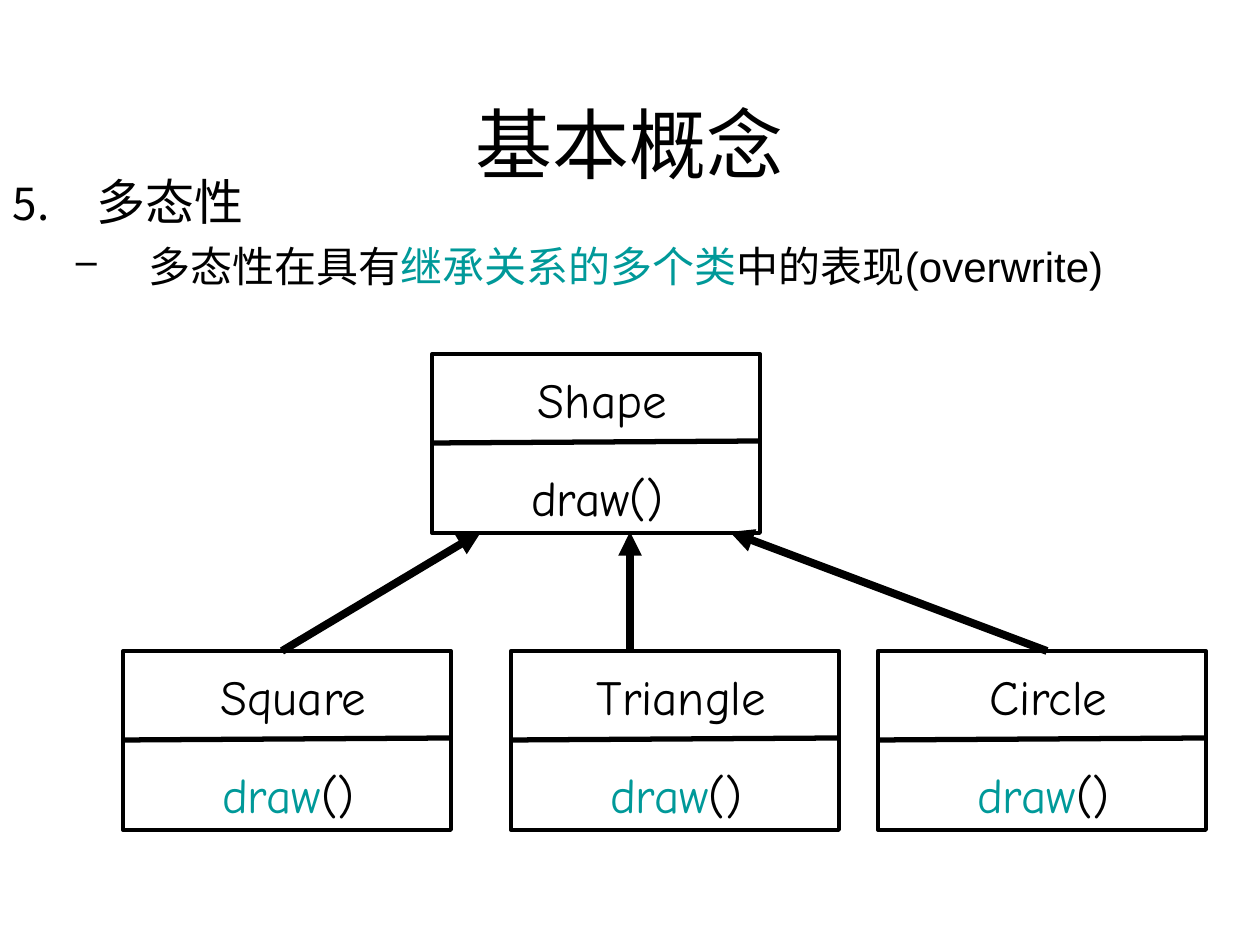
from lxml.etree import SubElement
from pptx import Presentation
from pptx.dml.color import RGBColor
from pptx.enum.shapes import MSO_CONNECTOR, MSO_SHAPE
from pptx.enum.text import MSO_ANCHOR, PP_ALIGN
from pptx.oxml.ns import qn
from pptx.util import Emu, Pt

PX = 914400 / 126
BLACK = RGBColor(0x00, 0x00, 0x00)
TEAL = RGBColor(0x00, 0x99, 0x99)
CLASS_WIDTH, CLASS_HEIGHT = 328, 179
CHILD_TOP = 651


def px(length):
    return Emu(round(length * PX))


def add_text_box(page, left, top, width, height, side_inset=13, anchor=MSO_ANCHOR.TOP):
    box = page.shapes.add_textbox(px(left), px(top), px(width), px(height))
    frame = box.text_frame
    frame.word_wrap = True
    frame.vertical_anchor = anchor
    frame.margin_left = frame.margin_right = px(side_inset)
    frame.margin_top = frame.margin_bottom = px(6)
    return frame


def write(para, text, size=28, font="Arial", align=PP_ALIGN.LEFT, margin=0,
          indent=0, space_before=None, bullet=None, accent=""):
    """Fill a paragraph; the part of the text equal to accent turns teal."""
    properties = para._p.get_or_add_pPr()
    properties.set("marL", str(px(margin)))
    properties.set("indent", str(px(indent)))
    if bullet:
        tag, attributes = bullet
        color = SubElement(properties, qn("a:buClr"))
        SubElement(color, qn("a:srgbClr"), val=str(BLACK))
        SubElement(properties, qn("a:buSzPct"), val="90000")
        SubElement(properties, qn(tag), **attributes)
    para.alignment = align
    if space_before:
        para.space_before = Pt(space_before)
    before, marked, after = text.partition(accent) if accent else (text, "", "")
    for part, color in ((before, BLACK), (marked, TEAL), (after, BLACK)):
        if part:
            span = para.add_run()
            span.text = part
            span.font.size = Pt(size)
            span.font.name = font
            span.font.color.rgb = color


def add_line(page, start, end, weight, arrow=False):
    line = page.shapes.add_connector(
        MSO_CONNECTOR.STRAIGHT, *(px(length) for length in (*start, *end)))
    line.line.color.rgb = BLACK
    line.line.width = Pt(weight)
    if arrow:
        SubElement(line.line._get_or_add_ln(), qn("a:tailEnd"), type="triangle")
    SubElement(line._element.spPr, qn("a:effectLst"))


def add_body(page, left, top, width, height):
    frame = add_text_box(page, left, top, width, height)
    write(frame.paragraphs[0], "多态性", margin=84, indent=-84,
          bullet=("a:buAutoNum", {"type": "arabicPeriod", "startAt": "5"}))
    detail = frame.add_paragraph()
    detail.level = 1
    write(detail, "多态性在具有继承关系的多个类中的表现(overwrite)", size=24,
          margin=136, indent=-73, space_before=6,
          bullet=("a:buChar", {"char": "–"}), accent="继承关系的多个类")


def add_title(page, left, top, width, height):
    frame = add_text_box(page, left, top, width, height, anchor=MSO_ANCHOR.BOTTOM)
    write(frame.paragraphs[0], "基本概念", size=44, align=PP_ALIGN.CENTER)


def add_class(page, left, top, name, accent=""):
    """Class box with its name above the divider and its method below."""
    box = page.shapes.add_shape(MSO_SHAPE.RECTANGLE, px(left), px(top),
                                px(CLASS_WIDTH), px(CLASS_HEIGHT))
    box.shadow.inherit = False
    box.fill.background()
    box.line.color.rgb = BLACK
    box.line.width = Pt(2.25)
    for text, shift, drop, width in ((name, -20, 9, 318), ("draw()", -30, 108, 328)):
        frame = add_text_box(page, left + shift, top + drop, width, 72, side_inset=0)
        write(frame.paragraphs[0], text, font="Comic Neue", align=PP_ALIGN.CENTER,
              margin=136, indent=-73, accent=accent)
    add_line(page, (left, top + 89), (left + 326, top + 87), 3)


def add_hierarchy(page, left, top):
    """Parent class, its three children and the inheritance arrows."""
    add_class(page, left + 309, top, "Shape")
    for offset, name in ((0, "Square"), (388, "Triangle"), (755, "Circle")):
        add_class(page, left + offset, CHILD_TOP, name, accent="draw")
    for start, end in ((159, 358), (507, 507), (924, 607)):
        add_line(page, (left + start, CHILD_TOP),
                 (left + end, top + CLASS_HEIGHT - 1), 4.5, arrow=True)


def main():
    deck = Presentation()
    deck.slide_width, deck.slide_height = px(1260), px(945)
    page = deck.slides.add_slide(deck.slide_layouts[6])
    add_body(page, 0, 165, 1260, 168)
    add_title(page, 63, 38, 1134, 157)
    add_hierarchy(page, 123, 354)
    deck.save("out.pptx")


if __name__ == "__main__":
    main()
